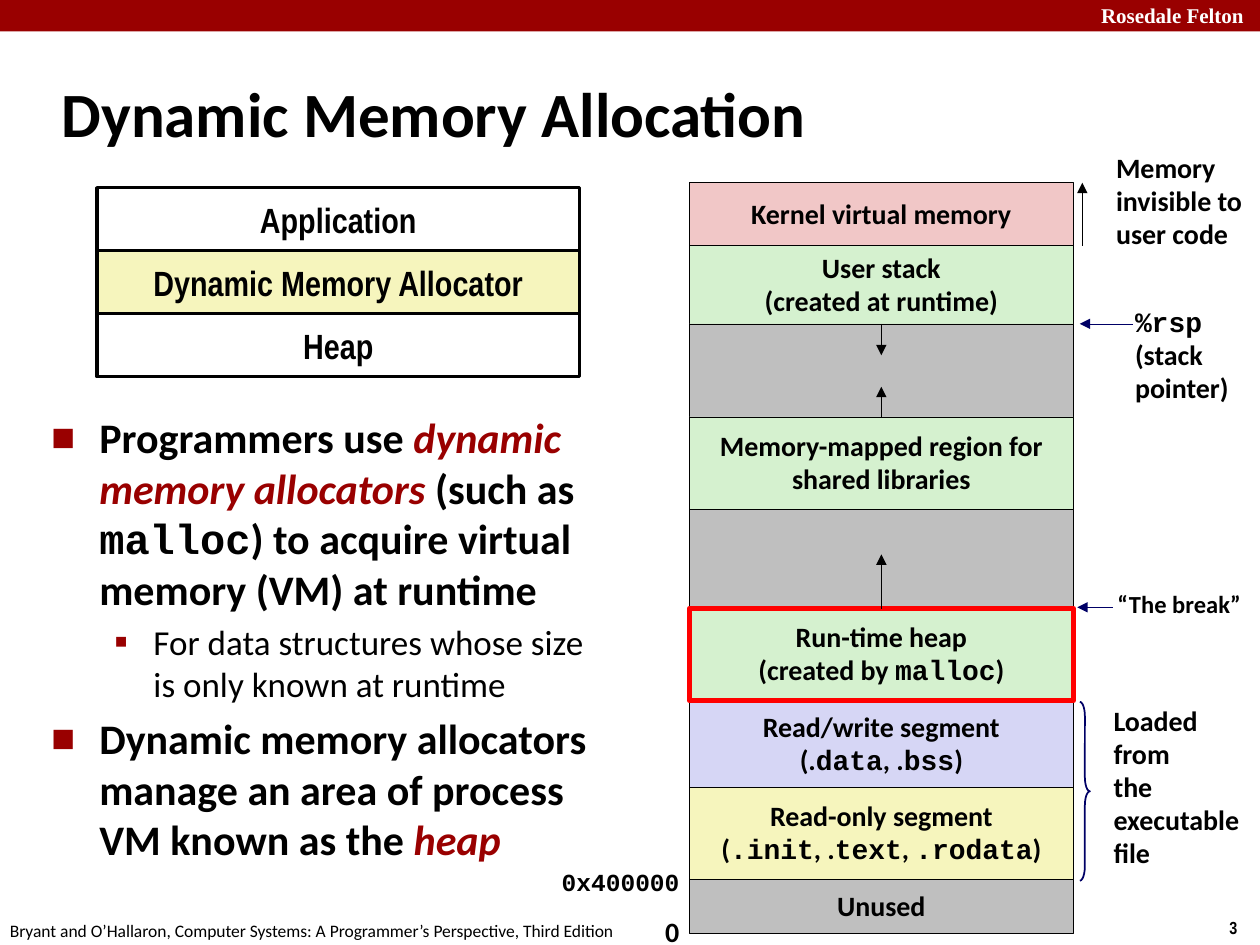
from lxml import etree
from pptx import Presentation
from pptx.dml.color import RGBColor
from pptx.enum.shapes import MSO_CONNECTOR, MSO_SHAPE
from pptx.enum.text import MSO_ANCHOR, PP_ALIGN
from pptx.oxml.ns import qn
from pptx.util import Inches, Pt

RECTANGLE, BRACE = MSO_SHAPE.RECTANGLE, MSO_SHAPE.RIGHT_BRACE
STRAIGHT = MSO_CONNECTOR.STRAIGHT
MIDDLE, CENTER, LEFT = MSO_ANCHOR.MIDDLE, PP_ALIGN.CENTER, PP_ALIGN.LEFT
TOP_SIDE, BOTTOM_SIDE = 0, 2

BLACK = RGBColor(0x00, 0x00, 0x00)
WHITE = RGBColor(0xFF, 0xFF, 0xFF)
CRIMSON = RGBColor(0x99, 0x00, 0x00)
RED = RGBColor(0xFF, 0x00, 0x00)
NAVY = RGBColor(0x00, 0x00, 0x66)
YELLOW = RGBColor(0xF6, 0xF5, 0xBD)
PINK = RGBColor(0xF1, 0xC7, 0xC7)
GREEN = RGBColor(0xD5, 0xF1, 0xCF)
GRAY = RGBColor(0xBF, 0xBF, 0xBF)
LILAC = RGBColor(0xD6, 0xD6, 0xF5)

SANS, NARROW, MONO, SERIF = "Calibri", "Arial Narrow", "Courier New", "Times New Roman"

# Backticks mark code; asterisks mark emphasis.
BULLETS = [
    (0, "Programmers use *dynamic memory allocators *(such as `malloc`) to acquire virtual memory (VM) at runtime"),
    (1, "For data structures whose size is only known at runtime"),
    (0, "Dynamic memory allocators manage an area of process VM known as the *heap*"),
]
BULLET_LEVELS = [
    {"size": 24, "bold": True, "margin": 0.38, "hang": 0.38, "mark": "■", "percent": 60},
    {"size": 20, "bold": False, "margin": 0.81, "hang": 0.31, "mark": "▪", "percent": 110},
]
LAYERS = [("Application", WHITE), ("Dynamic Memory Allocator", YELLOW), ("Heap", WHITE)]
SEGMENTS = [
    ("kernel", 1.45, PINK, ["Kernel virtual memory"]),
    ("stack", 1.95, GREEN, ["User stack", "(created at runtime)"]),
    ("stack gap", 2.57, GRAY, []),
    ("libraries", 3.31, GREEN, ["Memory-mapped region for", "shared libraries"]),
    ("heap gap", 4.04, GRAY, []),
    ("heap", 4.83, GREEN, ["Run-time heap", "(created by `malloc`)"]),
    ("read/write", 5.56, LILAC, ["Read/write segment", "(.`data`, .`bss`)"]),
    ("read-only", 6.25, YELLOW, ["Read-only segment", "(`.init`, .`text`, `.rodata`)"]),
    ("unused", 6.98, GRAY, ["Unused"]),
]
MEMORY_LEFT, MEMORY_WIDTH, MEMORY_BOTTOM = 5.47, 3.05, 7.41
LABELS = [
    (8.76, 1.16, 1.26, 0.89, 16, ["Memory", "invisible to", "user code"]),
    (8.91, 2.38, 0.95, 0.88, 16, ["`%rsp`", "(stack", "pointer)"]),
    (8.77, 4.64, 1.18, 0.32, 14, ["“The break”"]),
    (8.74, 5.55, 1.26, 1.42, 16, ["Loaded", "from", "the", "executable", "file"]),
    (4.36, 6.84, 1.14, 0.33, 14, ["`0x400000`"]),
    (5.18, 7.22, 0.4, 0.37, 16, ["0"]),
]
GROWTH_ARROWS = [("heap", TOP_SIDE, 4.4), ("libraries", TOP_SIDE, 3.07), ("stack", BOTTOM_SIDE, 2.82)]
POINTER_ARROWS = [
    (8.59, 1.95, 8.59, 1.45, BLACK),
    (8.99, 2.57, 8.57, 2.57, NAVY),
    (8.83, 4.82, 8.55, 4.82, NAVY),
]


def write(paragraph, text, size, font=SANS, color=BLACK, bold=True, align=LEFT, spacing=None):
    paragraph.alignment = align
    if spacing:
        paragraph.line_spacing = spacing
    for i, phrase in enumerate(text.split("*")):
        for j, piece in enumerate(phrase.split("`")):
            if not piece:
                continue
            span = paragraph.add_run()
            span.text = piece
            span.font.name = MONO if j % 2 else font
            span.font.size = Pt(size)
            span.font.bold = bold
            span.font.italic = bool(i % 2)
            span.font.color.rgb = CRIMSON if i % 2 else color


def write_lines(frame, lines, size, **style):
    for i, line in enumerate(lines):
        write(frame.add_paragraph() if i else frame.paragraphs[0], line, size, **style)


def add_text(page, left, top, width, height, lines, size, **style):
    box = page.shapes.add_textbox(Inches(left), Inches(top), Inches(width), Inches(height))
    box.text_frame.word_wrap = True
    write_lines(box.text_frame, lines, size, **style)
    return box


def add_block(page, left, top, width, height, fill, line, weight, lines=(), size=16, **style):
    block = page.shapes.add_shape(RECTANGLE, Inches(left), Inches(top), Inches(width), Inches(height))
    block.shadow.inherit = False
    block.fill.solid()
    block.fill.fore_color.rgb = fill
    if weight:
        block.line.color.rgb = line
        block.line.width = Pt(weight)
    else:
        block.line.fill.background()
    block.text_frame.word_wrap = False
    block.text_frame.vertical_anchor = MIDDLE
    write_lines(block.text_frame, lines, size, align=CENTER, **style)
    return block


def add_arrow(page, x1, y1, x2, y2, color):
    arrow = page.shapes.add_connector(STRAIGHT, Inches(x1), Inches(y1), Inches(x2), Inches(y2))
    arrow.line.color.rgb = color
    arrow.line.width = Pt(0.25)
    etree.SubElement(arrow.line._get_or_add_ln(), qn("a:tailEnd"), type="triangle")
    etree.SubElement(arrow._element.spPr, qn("a:effectLst"))
    return arrow


def add_bullet(paragraph, level):
    paragraph.space_before = Pt(level["size"] * 0.2)
    properties = paragraph._p.get_or_add_pPr()
    properties.set("marL", str(Inches(level["margin"])))
    properties.set("indent", str(-Inches(level["hang"])))
    color = etree.SubElement(properties, qn("a:buClr"))
    etree.SubElement(color, qn("a:srgbClr"), val=str(CRIMSON))
    etree.SubElement(properties, qn("a:buSzPct"), val=str(level["percent"] * 1000))
    etree.SubElement(properties, qn("a:buFont"), typeface=SANS)
    etree.SubElement(properties, qn("a:buChar"), char=level["mark"])


def add_memory_map(page):
    tops = [segment[1] for segment in SEGMENTS] + [MEMORY_BOTTOM]
    segments = [(*segment, bottom) for segment, bottom in zip(SEGMENTS, tops[1:])]
    segments.sort(key=lambda segment: segment[0] == "heap")
    blocks = {}
    for name, top, fill, lines, bottom in segments:
        line, weight = (RED, 3) if name == "heap" else (BLACK, 0.25)
        blocks[name] = add_block(page, MEMORY_LEFT, top, MEMORY_WIDTH, bottom - top,
                                 fill, line, weight, lines, spacing=0.98)
    center = MEMORY_LEFT + MEMORY_WIDTH / 2
    for name, side, tip in GROWTH_ARROWS:
        arrow = add_arrow(page, center, tip, center, tip, BLACK)
        arrow.begin_connect(blocks[name], side)
    for ends in POINTER_ARROWS:
        add_arrow(page, *ends)
    for left, top, width, height, size, lines in LABELS:
        add_text(page, left, top, width, height, lines, size, spacing=0.98)
    brace = page.shapes.add_shape(BRACE, Inches(8.57), Inches(5.57), Inches(0.08), Inches(1.42))
    brace.shadow.inherit = False
    brace.adjustments[0] = 1.42
    brace.fill.background()
    brace.line.color.rgb = NAVY
    brace.line.width = Pt(1)


def main():
    deck = Presentation()
    deck.slide_width, deck.slide_height = Inches(10), Inches(7.5)
    page = deck.slides.add_slide(deck.slide_layouts[6])

    add_block(page, 0, 0, 10, 0.25, CRIMSON, CRIMSON, 0)
    add_text(page, 8.64, -0.03, 1.43, 0.3, ["Rosedale Felton"], 12, font=SERIF, color=WHITE)
    add_text(page, 9.66, 7.23, 0.34, 0.27, ["3"], 10, font=NARROW)
    add_text(page, -0.02, 7.25, 5.2, 0.27,
             ["Bryant and O’Hallaron, Computer Systems: A Programmer’s Perspective, Third Edition"],
             10, bold=False)
    title = add_text(page, 0.39, 0.48, 8.3, 0.83, ["Dynamic Memory Allocation"], 36)
    title.text_frame.vertical_anchor = MIDDLE

    body = add_text(page, 0.31, 3.22, 4.48, 4.17, [], 24).text_frame
    for i, (depth, text) in enumerate(BULLETS):
        level = BULLET_LEVELS[depth]
        paragraph = body.add_paragraph() if i else body.paragraphs[0]
        write(paragraph, text, level["size"], bold=level["bold"])
        paragraph.level = depth
        add_bullet(paragraph, level)

    for i, (name, fill) in enumerate(LAYERS):
        add_block(page, 0.77, 1.49 + i * 0.5, 3.83, 0.5, fill, BLACK, 2, [name], 20, font=NARROW)
    add_memory_map(page)
    deck.save("out.pptx")


if __name__ == "__main__":
    main()
